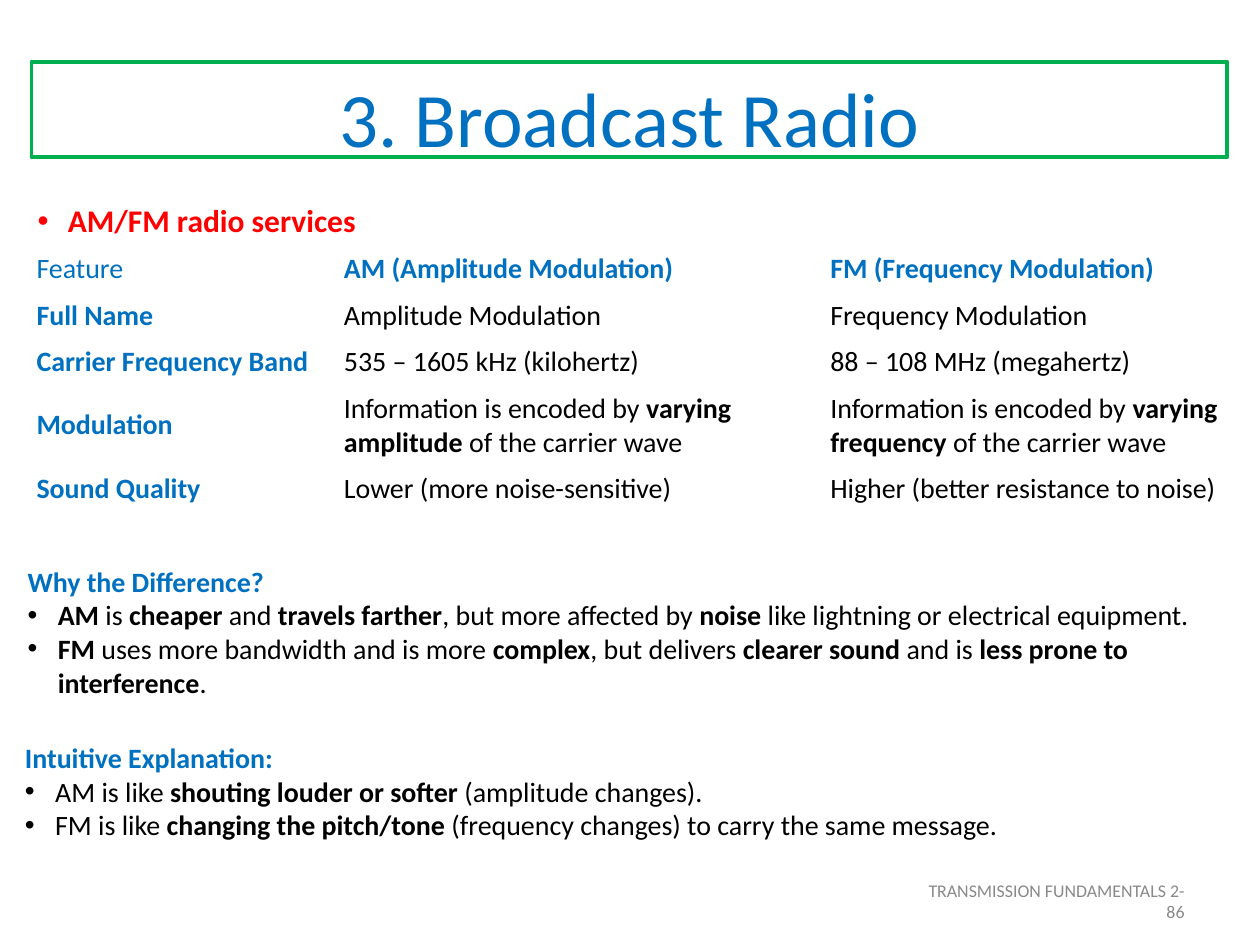
from dataclasses import dataclass

from lxml.etree import SubElement
from pptx import Presentation
from pptx.dml.color import RGBColor
from pptx.enum.shapes import MSO_SHAPE
from pptx.enum.text import MSO_ANCHOR, PP_ALIGN
from pptx.oxml.ns import qn
from pptx.util import Inches, Pt


@dataclass(frozen=True)
class Theme:
    font: str = "Calibri"
    accent: str = "0070C0"
    frame: str = "00B050"
    alert: str = "FF0000"
    body: str = "000000"
    muted: str = "898989"
    title_size: float = 44
    topic_size: float = 18
    body_size: float = 16
    footer_size: float = 10.2
    indent: float = 0.24


@dataclass(frozen=True)
class Box:
    left: float
    top: float
    width: float
    height: float

    def lengths(self):
        return [Inches(n) for n in (self.left, self.top, self.width, self.height)]


THEME = Theme()
COLUMN_WIDTHS = (2.44, 3.86, 3.3)
ROW_HEIGHTS = (0.37, 0.37, 0.37, 0.63, 0.37)

# Text between double asterisks is bold
FEATURES = (
    ("Feature", "**AM (Amplitude Modulation)**", "**FM (Frequency Modulation)**"),
    ("**Full Name**", "Amplitude Modulation", "Frequency Modulation"),
    ("**Carrier Frequency Band**", "535 – 1605 kHz (kilohertz)",
     "88 – 108 MHz (megahertz)"),
    ("**Modulation**",
     "Information is encoded by **varying amplitude** of the carrier wave",
     "Information is encoded by **varying frequency** of the carrier wave"),
    ("**Sound Quality**", "Lower (more noise-sensitive)",
     "Higher (better resistance to noise)"),
)
DIFFERENCE = (
    "**AM** is **cheaper** and **travels farther**, but more affected by "
    "**noise** like lightning or electrical equipment.",
    "**FM** uses more bandwidth and is more **complex**, but delivers "
    "**clearer sound** and is **less prone to interference**.",
)
INTUITION = (
    "AM is like **shouting louder or softer** (amplitude changes).",
    "FM is like **changing the pitch/tone** (frequency changes) "
    "to carry the same message.",
)


def add_bullet(paragraph, color):
    properties = paragraph._p.get_or_add_pPr()
    indent = Inches(THEME.indent)
    properties.set("marL", str(indent))
    properties.set("indent", str(-indent))
    bullet_color = SubElement(properties, qn("a:buClr"))
    SubElement(bullet_color, qn("a:srgbClr"), val=color)
    SubElement(properties, qn("a:buFont"), typeface="Arial")
    SubElement(properties, qn("a:buChar"), char="•")


def write(paragraph, text, size, color, align=PP_ALIGN.LEFT, bullet=False):
    paragraph.alignment = align
    if bullet:
        add_bullet(paragraph, color)
    paragraph.font.name = THEME.font
    paragraph.font.size = Pt(size)
    paragraph.font.color.rgb = RGBColor.from_string(color)
    for position, part in enumerate(text.split("**")):
        if part:
            run = paragraph.add_run()
            run.text = part
            run.font.bold = position % 2 == 1


def add_text_frame(slide, box, anchor=MSO_ANCHOR.TOP):
    frame = slide.shapes.add_textbox(*box.lengths()).text_frame
    frame.word_wrap = True
    frame.vertical_anchor = anchor
    return frame


def add_title(slide, box, text):
    # Green frame, with the title set slightly below its middle
    shape = slide.shapes.add_shape(MSO_SHAPE.RECTANGLE, *box.lengths())
    shape.shadow.inherit = False
    shape.fill.background()
    shape.line.color.rgb = RGBColor.from_string(THEME.frame)
    shape.line.width = Pt(2.25)
    text_box = Box(box.left + 0.25, box.top - 0.19, box.width - 0.5, 1.25)
    frame = add_text_frame(slide, text_box, MSO_ANCHOR.MIDDLE)
    write(frame.paragraphs[0], text, THEME.title_size, THEME.accent, PP_ALIGN.CENTER)


def add_topic(slide, box, text):
    frame = add_text_frame(slide, box)
    write(frame.paragraphs[0], text, THEME.topic_size, THEME.alert, bullet=True)


def add_feature_table(slide, box):
    table = slide.shapes.add_table(
        len(ROW_HEIGHTS), len(COLUMN_WIDTHS), *box.lengths()).table
    table.first_row = table.horz_banding = False
    for column, width in zip(table.columns, COLUMN_WIDTHS):
        column.width = Inches(width)
    for row_index, texts in enumerate(FEATURES):
        table.rows[row_index].height = Inches(ROW_HEIGHTS[row_index])
        for column_index, text in enumerate(texts):
            cell = table.cell(row_index, column_index)
            cell.fill.background()
            cell.vertical_anchor = MSO_ANCHOR.MIDDLE
            is_header = row_index == 0 or column_index == 0
            write(cell.text_frame.paragraphs[0], text, THEME.body_size,
                  THEME.accent if is_header else THEME.body)


def add_explanation(slide, box, heading, points):
    frame = add_text_frame(slide, box)
    write(frame.paragraphs[0], f"**{heading}**", THEME.body_size, THEME.accent)
    for point in points:
        write(frame.add_paragraph(), point, THEME.body_size, THEME.body, bullet=True)


def add_footer(slide, box, text):
    frame = add_text_frame(slide, box, MSO_ANCHOR.MIDDLE)
    write(frame.paragraphs[0], text, THEME.footer_size, THEME.muted, PP_ALIGN.RIGHT)


def main():
    presentation = Presentation()
    presentation.slide_width = Inches(10)
    presentation.slide_height = Inches(7.5)
    slide = presentation.slides.add_slide(presentation.slide_layouts[6])

    add_title(slide, Box(0.25, 0.49, 9.49, 0.76), "3. Broadcast Radio")
    add_topic(slide, Box(0.2, 1.55, 5, 0.4), "**AM/FM radio services**")
    add_feature_table(
        slide, Box(0.19, 1.95, sum(COLUMN_WIDTHS), sum(ROW_HEIGHTS)))
    add_explanation(
        slide, Box(0.12, 4.43, 9.61, 1.17), "Why the Difference?", DIFFERENCE)
    add_explanation(
        slide, Box(0.1, 5.83, 9.6, 1.17), "Intuitive Explanation:", INTUITION)
    add_footer(slide, Box(7.17, 6.95, 2.33, 0.4), "TRANSMISSION FUNDAMENTALS 2-86")

    presentation.save("out.pptx")


if __name__ == "__main__":
    main()
